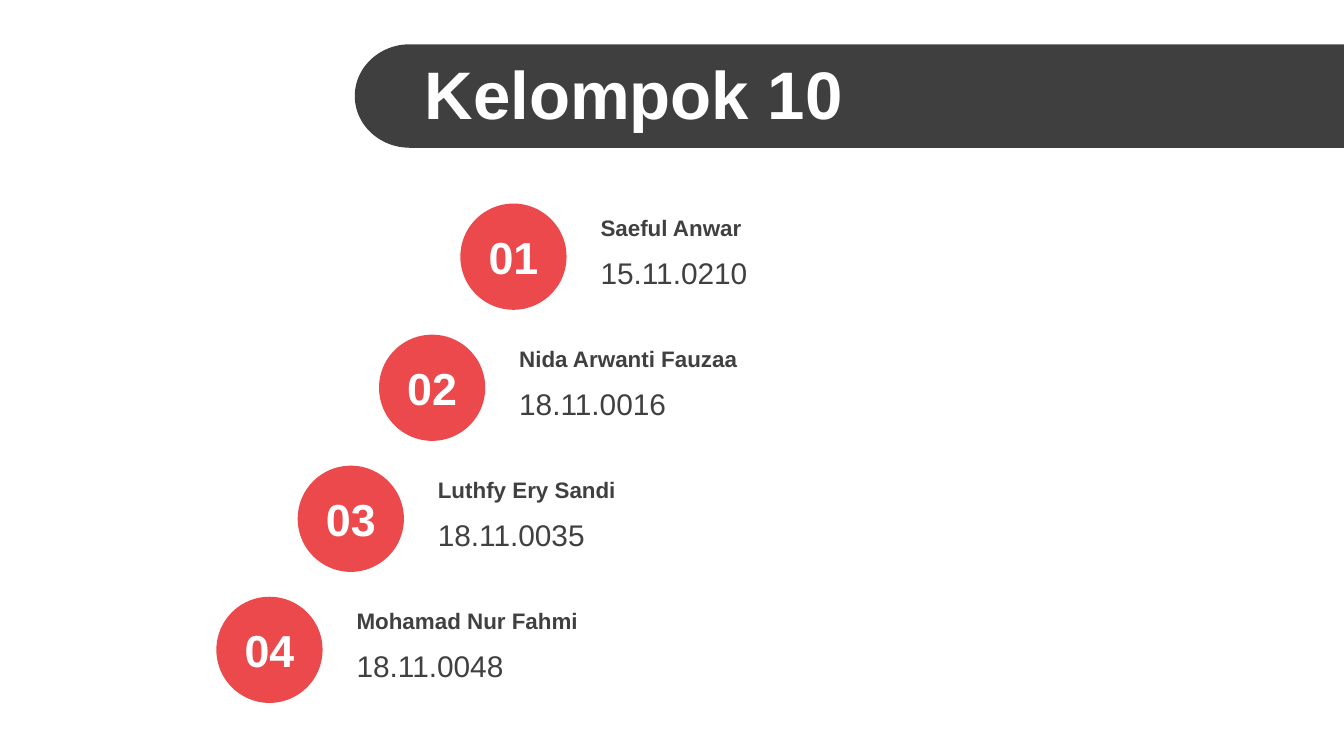
from math import cos, pi, sin

from pptx import Presentation
from pptx.dml.color import RGBColor
from pptx.enum.shapes import MSO_SHAPE as Shape
from pptx.enum.text import MSO_ANCHOR as Anchor, MSO_AUTO_SIZE as AutoSize, PP_ALIGN as Align
from pptx.util import Inches, Pt

BANNER_GREY = RGBColor(0x3F, 0x3F, 0x3F)
TEXT_GREY = RGBColor(0x40, 0x40, 0x40)
RED = RGBColor(0xEB, 0x49, 0x4B)
WHITE = RGBColor(0xFF, 0xFF, 0xFF)

MEMBERS = [
    ("Saeful Anwar", "15.11.0210"),
    ("Nida Arwanti Fauzaa", "18.11.0016"),
    ("Luthfy Ery Sandi", "18.11.0035"),
    ("Mohamad Nur Fahmi", "18.11.0048"),
]


def write(box, text, size, color, bold, align=Align.LEFT):
    frame = box.text_frame
    frame.word_wrap = True
    frame.auto_size = AutoSize.NONE
    frame.vertical_anchor = Anchor.MIDDLE
    paragraph = frame.paragraphs[0]
    paragraph.alignment = align
    run = paragraph.add_run()
    run.text = text
    run.font.name = "Arial"
    run.font.size = Pt(size)
    run.font.bold = bold
    run.font.color.rgb = color


def paint(shape, color):
    shape.shadow.inherit = False
    shape.fill.solid()
    shape.fill.fore_color.rgb = color
    shape.line.fill.background()


prs = Presentation()
prs.slide_width, prs.slide_height = Inches(10), Inches(10 * 9 / 16)
slide = prs.slides.add_slide(prs.slide_layouts[5])
shapes = slide.shapes

banner_left, banner_top, banner_right, banner_height = 2.64, 0.33, 10, 0.77
radius_x, radius_y = 0.41, banner_height / 2
arc_steps = 48
rounded_end = []
for step in range(arc_steps + 1):
    angle = pi / 2 + pi * step / arc_steps
    x = banner_left + radius_x + radius_x * cos(angle)
    y = banner_top + radius_y + radius_y * sin(angle)
    rounded_end.append((Inches(x), Inches(y)))
outline = shapes.build_freeform(Inches(banner_right), Inches(banner_top))
outline.add_line_segments([(Inches(banner_right), Inches(banner_top + banner_height))] + rounded_end)
banner = outline.convert_to_shape()
paint(banner, BANNER_GREY)

title = shapes.title
title.left, title.top = Inches(3.06), Inches(0.37)
title.width, title.height = Inches(6.94), Inches(0.64)
write(title, "Kelompok 10", 36, WHITE, True)
banner.element.addnext(title.element)

diameter = 0.79
for index, (name, student_id) in enumerate(MEMBERS):
    left = 3.425 - 0.605 * index
    top = 1.515 + 0.975 * index

    circle = shapes.add_shape(Shape.OVAL, Inches(left), Inches(top), Inches(diameter), Inches(diameter))
    paint(circle, RED)

    member = shapes.add_group_shape().shapes
    text_left = left + 0.945
    id_box = member.add_textbox(Inches(text_left), Inches(top + 0.33), Inches(5.04), Inches(0.37))
    write(id_box, student_id, 16, TEXT_GREY, False)
    name_box = member.add_textbox(Inches(text_left), Inches(top + 0.03), Inches(5.04), Inches(0.3))
    write(name_box, name, 12, TEXT_GREY, True)

    number = shapes.add_textbox(Inches(left), Inches(top + 0.145), Inches(diameter), Inches(0.5))
    write(number, f"{index + 1:02d}", 24, WHITE, True, Align.CENTER)

prs.save("out.pptx")
